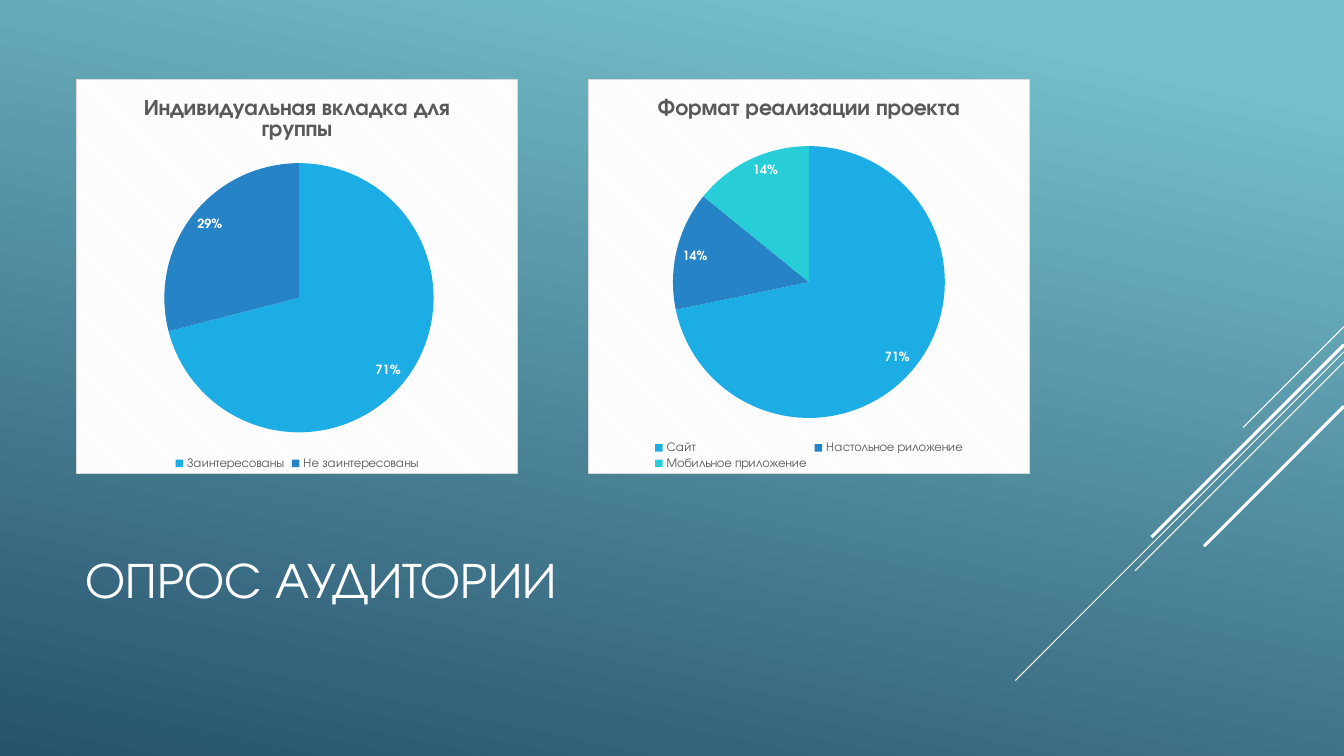
from lxml.etree import SubElement
from pptx import Presentation
from pptx.chart.data import CategoryChartData
from pptx.dml.color import RGBColor
from pptx.enum.chart import XL_CHART_TYPE, XL_LABEL_POSITION, XL_LEGEND_POSITION
from pptx.enum.shapes import MSO_CONNECTOR
from pptx.enum.text import MSO_ANCHOR, PP_ALIGN
from pptx.oxml import parse_xml
from pptx.oxml.ns import nsdecls, qn
from pptx.util import Pt

FONT = "TeX Gyre Adventor"
WHITE, GRAY = "FFFFFF", "595959"
TITLE = "ОПРОС АУДИТОРИИ"
SURVEYS = [
    {
        "title": "Индивидуальная вкладка для группы",
        "answers": {"Заинтересованы": 71, "Не заинтересованы": 29},
        "pie": {"x": 0.2, "y": 0.21, "w": 0.61, "h": 0.69},
    },
    {
        "title": "Формат реализации проекта",
        "answers": {"Сайт": 71, "Настольное риложение": 14, "Мобильное приложение": 14},
        "pie": {"x": 0.19, "y": 0.17, "w": 0.62, "h": 0.69},
    },
]
SLICE_COLORS = ["1CADE4", "2683C6", "27CED7"]
GRADIENT = [(0.1, "75BECB"), (1, "27526C")]
DIAGONALS = [
    (233.3, 72, 0.75),
    (251.3, 234.7, 0.75),
    (258.5, 149.3, 0.75),
    (246.2, 137.5, 2.25),
    (290.2, 100, 2.25),
]
SLIDE_WIDTH, SLIDE_HEIGHT = 960, 540
LEFT, CHART_TOP, CHART_WIDTH, CHART_HEIGHT, CHART_STEP = 54, 56.2, 316, 282.2, 365.8


def color(value):
    return RGBColor.from_string(value)


def style_font(font, size, value, bold=False):
    font.name = FONT
    font.size = Pt(size)
    font.bold = bold
    font.color.rgb = color(value)


def paint_background(slide):
    fill = slide.background.fill
    fill.gradient()
    fill.gradient_angle = 360 - 102
    for stop, (position, value) in zip(fill.gradient_stops, GRADIENT):
        stop.position = position
        stop.color.rgb = color(value)


def add_diagonal(slide, top, run, width):
    line = slide.shapes.add_connector(
        MSO_CONNECTOR.STRAIGHT,
        Pt(SLIDE_WIDTH), Pt(top), Pt(SLIDE_WIDTH - run), Pt(top + run),
    )
    line.line.color.rgb = color(WHITE)
    line.line.width = Pt(width)
    SubElement(line.element.spPr, qn("a:effectLst"))


def fill_chart_area(chart):
    area = parse_xml(
        f'<c:spPr {nsdecls("c", "a")}><a:pattFill prst="dkDnDiag">'
        '<a:fgClr><a:srgbClr val="F2F2F2"/></a:fgClr>'
        '<a:bgClr><a:srgbClr val="FFFFFF"/></a:bgClr></a:pattFill>'
        f'<a:ln w="{Pt(0.75)}"><a:solidFill><a:srgbClr val="D9D9D9"/></a:solidFill></a:ln></c:spPr>'
    )
    chart.element.find(qn("c:chart")).addnext(area)


def place_pie(chart, pie):
    plot_area = chart.element.find(qn("c:chart")).find(qn("c:plotArea"))
    for old_layout in plot_area.findall(qn("c:layout")):
        plot_area.remove(old_layout)
    settings = {"layoutTarget": "inner", "xMode": "edge", "yMode": "edge", **pie}
    layout = parse_xml(f'<c:layout {nsdecls("c")}><c:manualLayout/></c:layout>')
    for name, value in settings.items():
        SubElement(layout[0], qn(f"c:{name}")).set("val", str(value))
    plot_area.insert(0, layout)


def add_survey(slide, survey, left):
    data = CategoryChartData()
    data.categories = list(survey["answers"])
    data.add_series("Series 1", list(survey["answers"].values()))
    chart = slide.shapes.add_chart(
        XL_CHART_TYPE.PIE, Pt(left), Pt(CHART_TOP), Pt(CHART_WIDTH), Pt(CHART_HEIGHT), data
    ).chart
    style_font(chart.font, 10, WHITE)
    fill_chart_area(chart)
    place_pie(chart, survey["pie"])

    chart.has_title = True
    span = chart.chart_title.text_frame.paragraphs[0].add_run()
    span.text = survey["title"]
    style_font(span.font, 16, GRAY, True)

    chart.has_legend = True
    chart.legend.position = XL_LEGEND_POSITION.BOTTOM
    chart.legend.include_in_layout = False
    style_font(chart.legend.font, 9, GRAY)

    plot = chart.plots[0]
    plot.vary_by_categories = True
    for index, value in enumerate(SLICE_COLORS[:len(survey["answers"])]):
        fill = plot.series[0].points[index].format.fill
        fill.solid()
        fill.fore_color.rgb = color(value)
    plot.has_data_labels = True
    labels = plot.data_labels
    labels.show_value = True
    labels.show_percentage = False
    labels.number_format = '0"%"'
    labels.number_format_is_linked = False
    labels.position = XL_LABEL_POSITION.INSIDE_END
    style_font(labels.font, 9, WHITE, True)


def add_title(slide):
    box = slide.shapes.title
    box.left, box.top, box.width, box.height = Pt(LEFT), Pt(353.5), Pt(671.8), Pt(118.8)
    frame = box.text_frame
    frame.word_wrap = True
    frame.vertical_anchor = MSO_ANCHOR.MIDDLE
    para = frame.paragraphs[0]
    para.alignment = PP_ALIGN.LEFT
    span = para.add_run()
    span.text = TITLE
    style_font(span.font, 36, WHITE)


def main():
    deck = Presentation()
    deck.slide_width, deck.slide_height = Pt(SLIDE_WIDTH), Pt(SLIDE_HEIGHT)
    page = deck.slides.add_slide(deck.slide_layouts[5])
    paint_background(page)
    for diagonal in DIAGONALS:
        add_diagonal(page, *diagonal)
    add_title(page)
    for index, survey in enumerate(SURVEYS):
        add_survey(page, survey, LEFT + index * CHART_STEP)
    deck.save("out.pptx")


if __name__ == "__main__":
    main()
